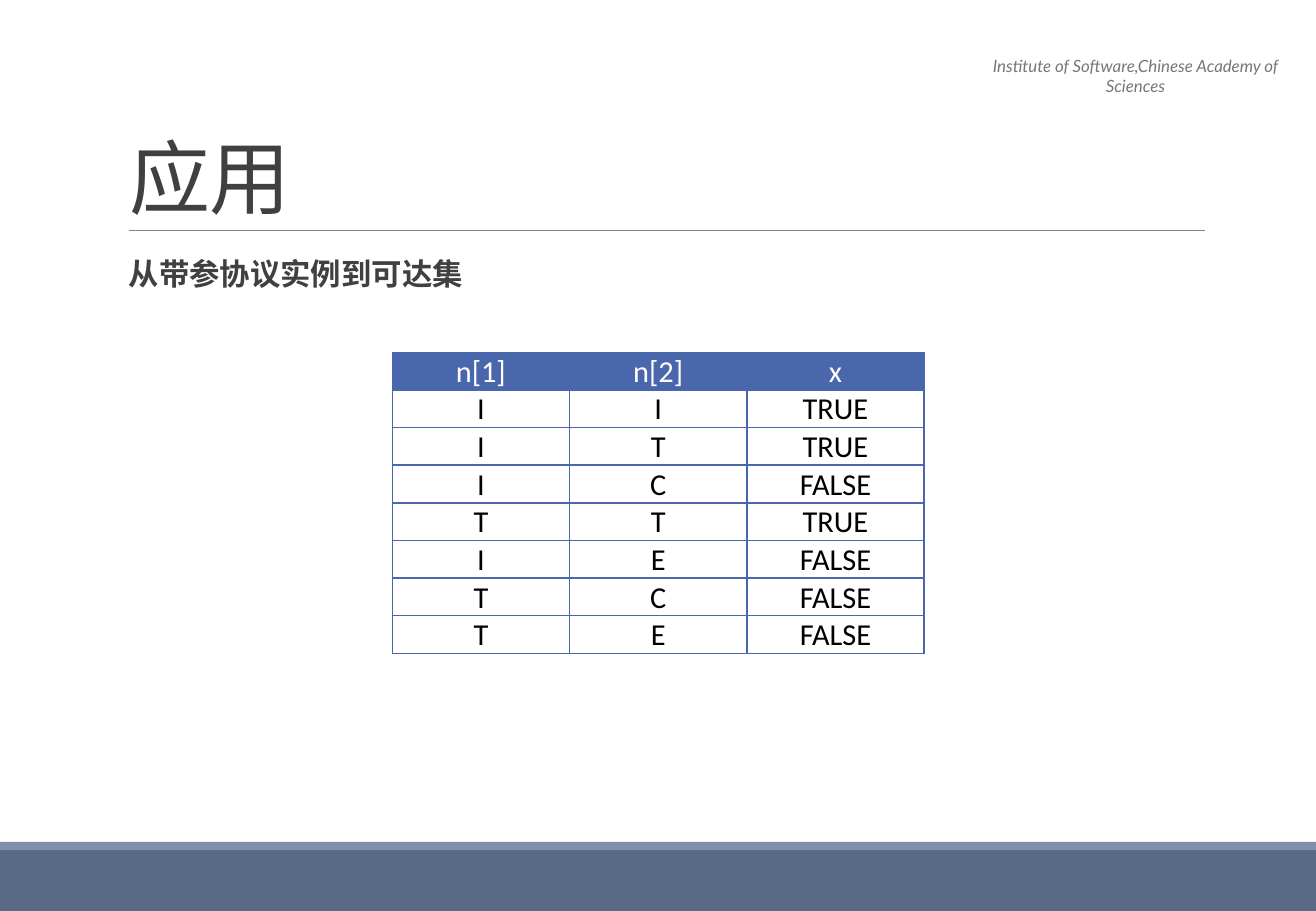
from lxml import etree
from pptx import Presentation
from pptx import util as u
from pptx.dml.color import RGBColor
from pptx.enum import shapes, text
from pptx.oxml import ns

COLORS = {
    "band": "596A85",
    "band_edge": "7F8FA9",
    "rule": "808080",
    "institute": "777777",
    "heading": "404040",
    "table": "4A66AC",
    "header_text": "FFFFFF",
    "cell_text": "000000",
}
STATES = [
    ("n[1]", "n[2]", "x"),
    ("I", "I", "TRUE"),
    ("I", "T", "TRUE"),
    ("I", "C", "FALSE"),
    ("T", "T", "TRUE"),
    ("I", "E", "FALSE"),
    ("T", "C", "FALSE"),
    ("T", "E", "FALSE"),
]
COLUMN_WIDTH = 105.1
ROW_HEIGHT = 22.3


def rgb(name):
    """Return the named colour."""
    return RGBColor.from_string(COLORS[name])


def points(*lengths):
    """Convert lengths in points to a list of lengths."""
    return [u.Pt(length) for length in lengths]


def style_text(paragraph, size, color, font="Calibri", bold=False, italic=False):
    """Format every run of a paragraph."""
    for run in paragraph.runs:
        run.font.name = font
        run.font.size = u.Pt(size)
        run.font.bold = bold
        run.font.italic = italic
        run.font.color.rgb = rgb(color)


def add_band(slide, top, height, color):
    """Add a full-width coloured band."""
    band = slide.shapes.add_shape(
        shapes.MSO_SHAPE.RECTANGLE, *points(0, top, 780, height))
    band.shadow.inherit = False
    band.fill.solid()
    band.fill.fore_color.rgb = rgb(color)
    band.line.fill.background()


def add_rule(slide, left, right, y):
    """Add the thin line under the title."""
    rule = slide.shapes.add_connector(
        shapes.MSO_CONNECTOR.STRAIGHT, *points(left, y, right, y))
    rule.line.color.rgb = rgb("rule")
    rule.line.width = u.Pt(0.5)
    etree.SubElement(rule._element.spPr, ns.qn("a:effectLst"))


def add_text(slide, box, wording, size, color, **style):
    """Add a wrapped text box and return its frame and paragraph."""
    frame = slide.shapes.add_textbox(*points(*box)).text_frame
    frame.word_wrap = True
    frame.text = wording
    paragraph = frame.paragraphs[0]
    style_text(paragraph, size, color, **style)
    return frame, paragraph


def add_borders(cell):
    """Draw a thin border on all four sides of a cell."""
    properties = cell._tc.get_or_add_tcPr()
    for index, side in enumerate(("lnL", "lnR", "lnT", "lnB")):
        border = etree.Element(ns.qn(f"a:{side}"), w=str(u.Pt(1)))
        fill = etree.SubElement(border, ns.qn("a:solidFill"))
        etree.SubElement(fill, ns.qn("a:srgbClr"), val=COLORS["table"])
        properties.insert(index, border)


def fill_cell(cell, wording, is_header):
    """Write and format one table cell."""
    cell.text = wording
    cell.vertical_anchor = text.MSO_ANCHOR.MIDDLE
    cell.margin_left = cell.margin_right = cell.margin_top = u.Pt(0.7)
    cell.margin_bottom = 0
    paragraph = cell.text_frame.paragraphs[0]
    paragraph.alignment = text.PP_ALIGN.CENTER
    style_text(paragraph, 18, "header_text" if is_header else "cell_text")
    if is_header:
        cell.fill.solid()
        cell.fill.fore_color.rgb = rgb("table")
    else:
        cell.fill.background()
    add_borders(cell)


def add_states(slide, left, top):
    """Add the table of reachable states."""
    rows, columns = len(STATES), len(STATES[0])
    size = points(left, top, COLUMN_WIDTH * columns, ROW_HEIGHT * rows)
    table = slide.shapes.add_table(rows, columns, *size).table
    table.horz_banding = False
    for column in table.columns:
        column.width = u.Pt(COLUMN_WIDTH)
    for row_index, state in enumerate(STATES):
        table.rows[row_index].height = u.Pt(ROW_HEIGHT)
        for column_index, wording in enumerate(state):
            fill_cell(table.cell(row_index, column_index), wording, row_index == 0)


def main():
    """Build and save the slide."""
    deck = Presentation()
    deck.slide_width, deck.slide_height = points(780, 540)
    slide = deck.slides.add_slide(deck.slide_layouts[6])

    add_band(slide, 504, 36, "band")
    add_band(slide, 499, 5, "band_edge")
    add_rule(slide, 76.3, 714.2, 136.8)

    _, institute = add_text(
        slide, (579, 29.5, 188, 19.5),
        "Institute of Software,Chinese Academy of Sciences",
        10, "institute", font="Lato", italic=True)
    institute.alignment = text.PP_ALIGN.CENTER

    title_frame, title = add_text(
        slide, (69.8, 22.3, 643.7, 114.5), "应用", 48, "heading")
    title_frame.vertical_anchor = text.MSO_ANCHOR.BOTTOM
    title.line_spacing = 0.85
    title.runs[0].font._element.set("spc", "-50")

    topic_frame, topic = add_text(
        slide, (60.5, 136.8, 656.6, 337), "从带参协议实例到可达集",
        18, "heading", bold=True)
    topic_frame.margin_left = topic_frame.margin_right = 0
    topic.line_spacing = 1.5
    topic.space_before, topic.space_after = points(2, 4)
    topic._p.get_or_add_pPr().set("marL", str(u.Pt(15.8)))

    add_states(slide, 232.5, 208.8)
    deck.save("out.pptx")


main()
